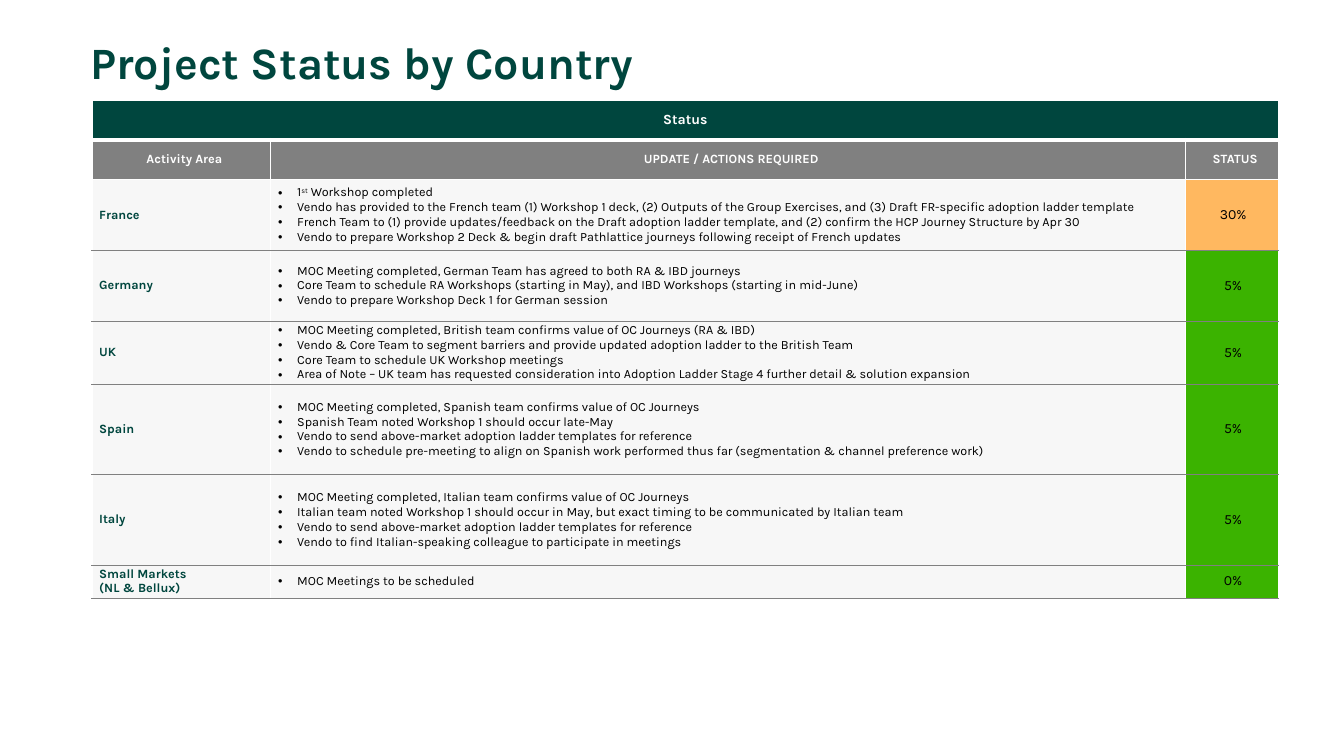
import pptx
import pptx.util
import pptx.dml.color
import pptx.enum.text
import pptx.oxml.ns
from lxml import etree

Cm, Pt = pptx.util.Cm, pptx.util.Pt
ALIGN = pptx.enum.text.PP_ALIGN
MIDDLE = pptx.enum.text.MSO_ANCHOR.MIDDLE

TITLE = "Project Status by Country"
BANNER = "Status"
HEADINGS = ["Activity Area", "UPDATE / ACTIONS REQUIRED", "STATUS"]
# Area lines, updates (a tuple holds text, superscript, text), progress, row height in cm
COUNTRIES = [
    (["France"], [
        ("1", "st", " Workshop completed"),
        "Vendo has provided to the French team (1) Workshop 1 deck, (2) Outputs of the Group Exercises, "
        "and (3) Draft FR-specific adoption ladder template",
        "French Team to (1) provide updates/feedback on the Draft adoption ladder template, "
        "and (2) confirm the HCP Journey Structure by Apr 30",
        "Vendo to prepare Workshop 2 Deck & begin draft Pathlattice journeys following receipt of French updates",
    ], "30%", 1.79),
    (["Germany"], [
        "MOC Meeting completed, German Team has agreed to both RA & IBD journeys",
        "Core Team to schedule RA Workshops (starting in May), and IBD Workshops (starting in mid-June)",
        "Vendo to prepare Workshop Deck 1 for German session",
    ], "5%", 1.78),
    (["UK"], [
        "MOC Meeting completed, British team confirms value of OC Journeys (RA & IBD)",
        "Vendo & Core Team to segment barriers and provide updated adoption ladder to the British Team",
        "Core Team to schedule UK Workshop meetings",
        "Area of Note – UK team has requested consideration into Adoption Ladder Stage 4 "
        "further detail & solution expansion",
    ], "5%", 1.53),
    (["Spain"], [
        "MOC Meeting completed, Spanish team confirms value of OC Journeys",
        "Spanish Team noted Workshop 1 should occur late-May",
        "Vendo to send above-market adoption ladder templates for reference",
        "Vendo to schedule pre-meeting to align on Spanish work performed thus far "
        "(segmentation & channel preference work)",
    ], "5%", 2.28),
    (["Italy"], [
        "MOC Meeting completed, Italian team confirms value of OC Journeys",
        "Italian team noted Workshop 1 should occur in May, but exact timing to be communicated by Italian team",
        "Vendo to send above-market adoption ladder templates for reference",
        "Vendo to find Italian-speaking colleague to participate in meetings",
    ], "5%", 2.28),
    (["Small Markets", "(NL & Bellux)"], ["MOC Meetings to be scheduled"], "0%", 0.76),
]
COLUMN_WIDTHS = [4.5, 23.06, 2.34]
HEADER_HEIGHT = 1.0

THEME = {
    "font": "Karla",
    "green": "00463E", "white": "FFFFFF", "black": "000000", "grey": "808080",
    "row": "F7F7F7", "underway": "FFB860", "starting": "3BB300",
    "title": 32, "large": 10, "body": 9,
}
WHITE_LINE = (THEME["white"], 1)
ROW_RULE = (THEME["grey"], 0.25)


def rgb(name):
    return pptx.dml.color.RGBColor.from_string(THEME[name])


def write_paragraph(para, content, size, color, bold=False, align=ALIGN.LEFT, margin=0, hanging=0):
    """Fill a paragraph; a tuple alternates plain and superscript text."""
    props = para._p.get_or_add_pPr()
    props.set("marL", str(Cm(margin)))
    props.set("indent", str(-Cm(hanging)))
    if hanging:
        font = etree.SubElement(props, pptx.oxml.ns.qn("a:buFont"))
        font.set("typeface", "Arial")
        etree.SubElement(props, pptx.oxml.ns.qn("a:buChar")).set("char", "•")
    para.alignment = align
    for index, text in enumerate(content if isinstance(content, tuple) else (content,)):
        span = para.add_run()
        span.text = text
        for name, value in {"name": THEME["font"], "size": Pt(THEME[size]), "bold": bold}.items():
            setattr(span.font, name, value)
        span.font.color.rgb = rgb(color)
        if index % 2:
            span._r.get_or_add_rPr().set("baseline", "30000")


def draw_borders(cell, bottom, top):
    props = cell._tc.get_or_add_tcPr()
    for side, (color, width) in {"L": WHITE_LINE, "R": WHITE_LINE, "T": top, "B": bottom}.items():
        line = etree.SubElement(props, pptx.oxml.ns.qn("a:ln" + side), w=str(Pt(width)))
        fill = etree.SubElement(line, pptx.oxml.ns.qn("a:solidFill"))
        etree.SubElement(fill, pptx.oxml.ns.qn("a:srgbClr"), val=color)


def write_cell(cell, lines, fill, bottom=WHITE_LINE, top=WHITE_LINE, right=0.03, **style):
    draw_borders(cell, bottom, top)
    cell.fill.solid()
    cell.fill.fore_color.rgb = rgb(fill)
    layout = {"vertical_anchor": MIDDLE, "margin_left": Cm(0.03), "margin_right": Cm(right),
              "margin_top": Cm(0.03), "margin_bottom": Cm(0.03)}
    for name, value in layout.items():
        setattr(cell, name, value)
    frame = cell.text_frame
    for index, line in enumerate(lines):
        para = frame.add_paragraph() if index else frame.paragraphs[0]
        write_paragraph(para, line, **style)


def add_title(page):
    box = page.shapes.add_textbox(Cm(2.03), Cm(0.71), Cm(30.02), Cm(1.8))
    layout = {"word_wrap": True, "vertical_anchor": MIDDLE, "margin_left": Cm(0.25),
              "margin_right": Cm(0.25), "margin_top": Cm(0.05), "margin_bottom": 0}
    for name, value in layout.items():
        setattr(box.text_frame, name, value)
    para = box.text_frame.paragraphs[0]
    write_paragraph(para, TITLE, "title", "green", bold=True)
    para.line_spacing = 0.9


def add_status_table(page):
    heights = [HEADER_HEIGHT] * 2 + [country[-1] for country in COUNTRIES]
    table = page.shapes.add_table(len(heights), len(COLUMN_WIDTHS), Cm(2.32), Cm(2.52),
                                  Cm(sum(COLUMN_WIDTHS)), Cm(sum(heights))).table
    for column, width in zip(table.columns, COLUMN_WIDTHS):
        column.width = Cm(width)
    for row, height in zip(table.rows, heights):
        row.height = Cm(height)

    heading = {"color": "white", "bold": True, "align": ALIGN.CENTER}
    banner_rule = (THEME["white"], 3)
    table.cell(0, 0).merge(table.cell(0, 2))
    for column in range(3):
        write_cell(table.cell(0, column), [] if column else [BANNER], "green",
                   bottom=banner_rule, size="large", **heading)
        write_cell(table.cell(1, column), [HEADINGS[column]], "grey", top=banner_rule,
                   size="body", margin=0.15, **heading)

    for row, (area, updates, progress, _) in enumerate(COUNTRIES, start=2):
        rules = {"bottom": ROW_RULE, "top": WHITE_LINE if row == 2 else ROW_RULE, "right": 0.13}
        write_cell(table.cell(row, 0), area, "row", size="body", color="green", bold=True,
                   margin=0.15, **rules)
        write_cell(table.cell(row, 1), updates, "row", size="body", color="black",
                   margin=0.64, hanging=0.48, **rules)
        write_cell(table.cell(row, 2), [progress], "underway" if progress == "30%" else "starting",
                   size="large", color="black", align=ALIGN.CENTER, margin=0.15, **rules)


def main():
    deck = pptx.Presentation()
    deck.slide_width, deck.slide_height = Cm(33.87), Cm(19.05)
    page = deck.slides.add_slide(deck.slide_layouts[6])
    add_title(page)
    add_status_table(page)
    deck.save("out.pptx")


if __name__ == "__main__":
    main()
